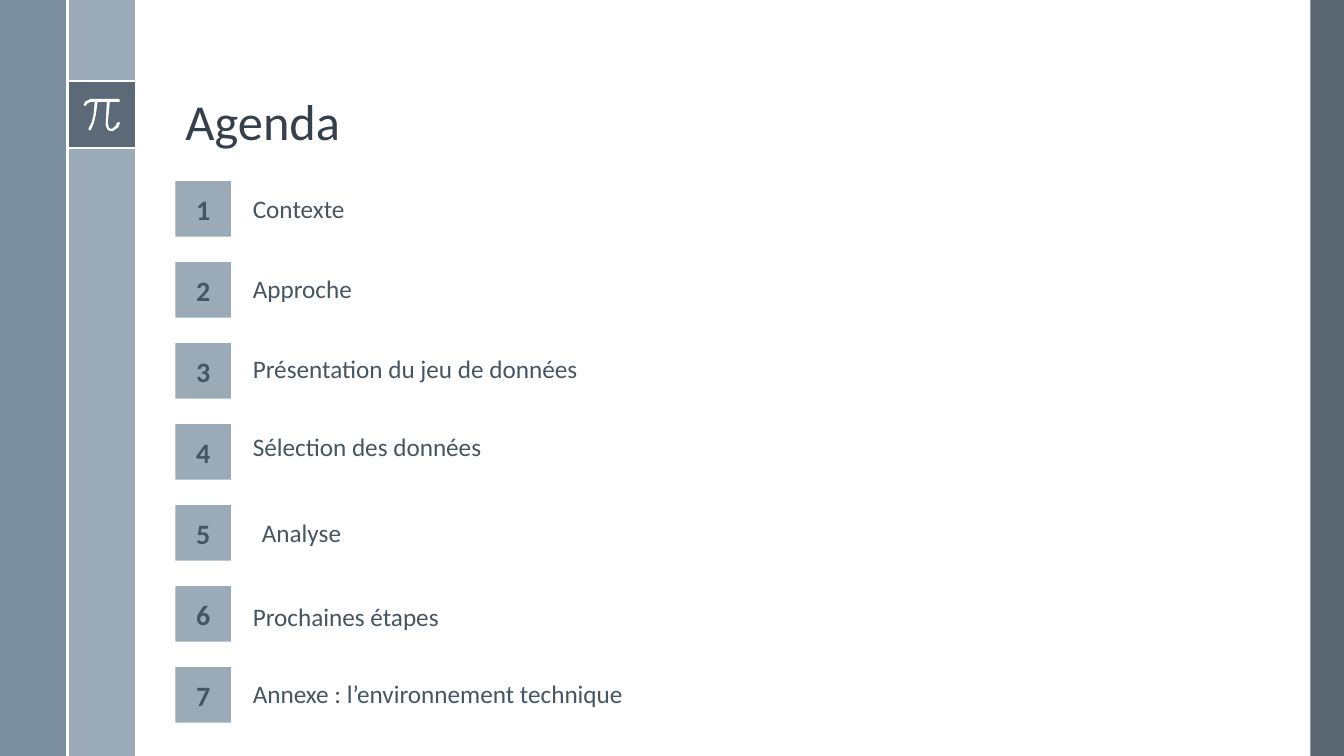
from lxml import etree
from pptx import Presentation
from pptx.dml.color import RGBColor
from pptx.enum.shapes import MSO_CONNECTOR, MSO_SHAPE
from pptx.enum.text import MSO_ANCHOR, MSO_AUTO_SIZE, PP_ALIGN
from pptx.oxml.ns import qn
from pptx.util import Pt

RECT = MSO_SHAPE.RECTANGLE
LINE = MSO_CONNECTOR.STRAIGHT
LEFT, CENTER = PP_ALIGN.LEFT, PP_ALIGN.CENTER
TOP, MIDDLE, BOTTOM = MSO_ANCHOR.TOP, MSO_ANCHOR.MIDDLE, MSO_ANCHOR.BOTTOM
NO_FIT, GROW = MSO_AUTO_SIZE.NONE, MSO_AUTO_SIZE.SHAPE_TO_FIT_TEXT

HUES = {
    "dark": "475562", "pale": "9BAAB7", "steel": "6A8093",
    "title": "35404A", "text": "465562", "white": "FFFFFF",
}
WIDE, HIGH = 960, 540
BAND = 48.2

# Outline of the pi sign, in tenths of a point
PI = [
    (850, 706), (648, 706), (610, 725), (598, 749), (605, 756), (612, 756),
    (622, 741), (648, 727), (677, 727), (669, 818), (656, 873), (634, 914),
    (634, 929), (641, 932), (648, 929), (669, 883), (684, 823), (698, 727),
    (763, 727), (756, 878), (755, 895), (770, 929), (792, 936), (806, 936),
    (845, 910), (857, 878), (850, 871), (835, 878), (828, 897), (799, 922),
    (778, 914), (770, 878), (785, 727), (850, 727), (857, 720),
]

# Agenda entries: label, left, top
ITEMS = [
    ("Contexte", 173.5, 134.6),
    ("Approche", 173.5, 191.5),
    ("Présentation du jeu de données", 173.5, 249.1),
    ("Sélection des données", 173.5, 304.6),
    ("Analyse", 180, 365.8),
    ("Prochaines étapes", 173.5, 426.2),
    ("Annexe : l’environnement technique", 173.5, 481),
]


def hue(name):
    return RGBColor.from_string(HUES[name])


def write(frame, text, size=18, color="text", bold=False, align=LEFT,
          anchor=TOP, fit=NO_FIT, space=None):
    frame.word_wrap = True
    frame.auto_size = fit
    frame.vertical_anchor = anchor
    para = frame.paragraphs[0]
    para.alignment = align
    para.line_spacing = space
    run = para.add_run()
    run.text = text
    font = run.font
    font.name, font.size, font.bold = "Calibri", Pt(size), bold
    font.color.rgb = hue(color)


class Deck:
    def __init__(self):
        self.prs = Presentation()
        self.prs.slide_width, self.prs.slide_height = Pt(WIDE), Pt(HIGH)
        self.slide = self.prs.slides.add_slide(self.prs.slide_layouts[5])
        self.shapes = self.slide.shapes

    def paint(self, shape, color):
        shape.shadow.inherit = False
        shape.fill.solid()
        shape.fill.fore_color.rgb = hue(color)
        shape.line.fill.background()

    def rect(self, x, y, w, h, color, alpha=100):
        box = self.shapes.add_shape(RECT, Pt(x), Pt(y), Pt(w), Pt(h))
        self.paint(box, color)
        if alpha < 100:
            tone = box.fill._xPr.find(".//" + qn("a:srgbClr"))
            etree.SubElement(tone, qn("a:alpha")).set("val", str(alpha * 1000))
        return box

    def rule(self, x1, y1, x2, y2):
        line = self.shapes.add_connector(LINE, Pt(x1), Pt(y1), Pt(x2), Pt(y2))
        line.line.color.rgb = hue("white")
        line.line.width = Pt(1.5)
        etree.SubElement(line._element.spPr, qn("a:effectLst"))

    def outline(self, points, color):
        pen = self.shapes.build_freeform(*points[0], scale=Pt(0.1))
        pen.add_line_segments(points[1:], close=True)
        self.paint(pen.convert_to_shape(), color)

    def title(self, text, x, y, w, h):
        head = self.shapes.title
        head.left, head.top, head.width, head.height = Pt(x), Pt(y), Pt(w), Pt(h)
        write(head.text_frame, text, size=36, color="title", anchor=BOTTOM,
              space=0.9)

    def label(self, text, x, y):
        box = self.shapes.add_textbox(Pt(x), Pt(y), Pt(455.8), Pt(29.1))
        write(box.text_frame, text, fit=GROW)

    def badge(self, text, x, y, side):
        frame = self.rect(x, y, side, side, "pale").text_frame
        frame.margin_left = frame.margin_right = 0
        frame.margin_top = frame.margin_bottom = 0
        write(frame, text, size=20, bold=True, align=CENTER, anchor=MIDDLE)


def main():
    deck = Deck()

    # Side bands
    deck.rect(936, 0, 24, HIGH, "dark", alpha=90)
    deck.rect(BAND, 0, BAND, HIGH, "pale")
    deck.rect(0, 0, BAND, HIGH, "steel", alpha=88)

    # Pi tile with its white rules
    deck.rect(BAND, 58, BAND, 48, "dark", alpha=75)
    for y in (58, 106):
        deck.rule(BAND, y, 2 * BAND, y)
    deck.outline(PI, "white")
    deck.rule(BAND, 0, BAND, HIGH)

    # Title and agenda
    deck.title("Agenda", 125.3, 13.7, 770.4, 97.9)
    for i, (text, x, y) in enumerate(ITEMS):
        deck.label(text, x, y)
        deck.badge(str(i + 1), 125.3, 129.4 + 57.85 * i, 39.6)

    deck.prs.save("out.pptx")


if __name__ == "__main__":
    main()
